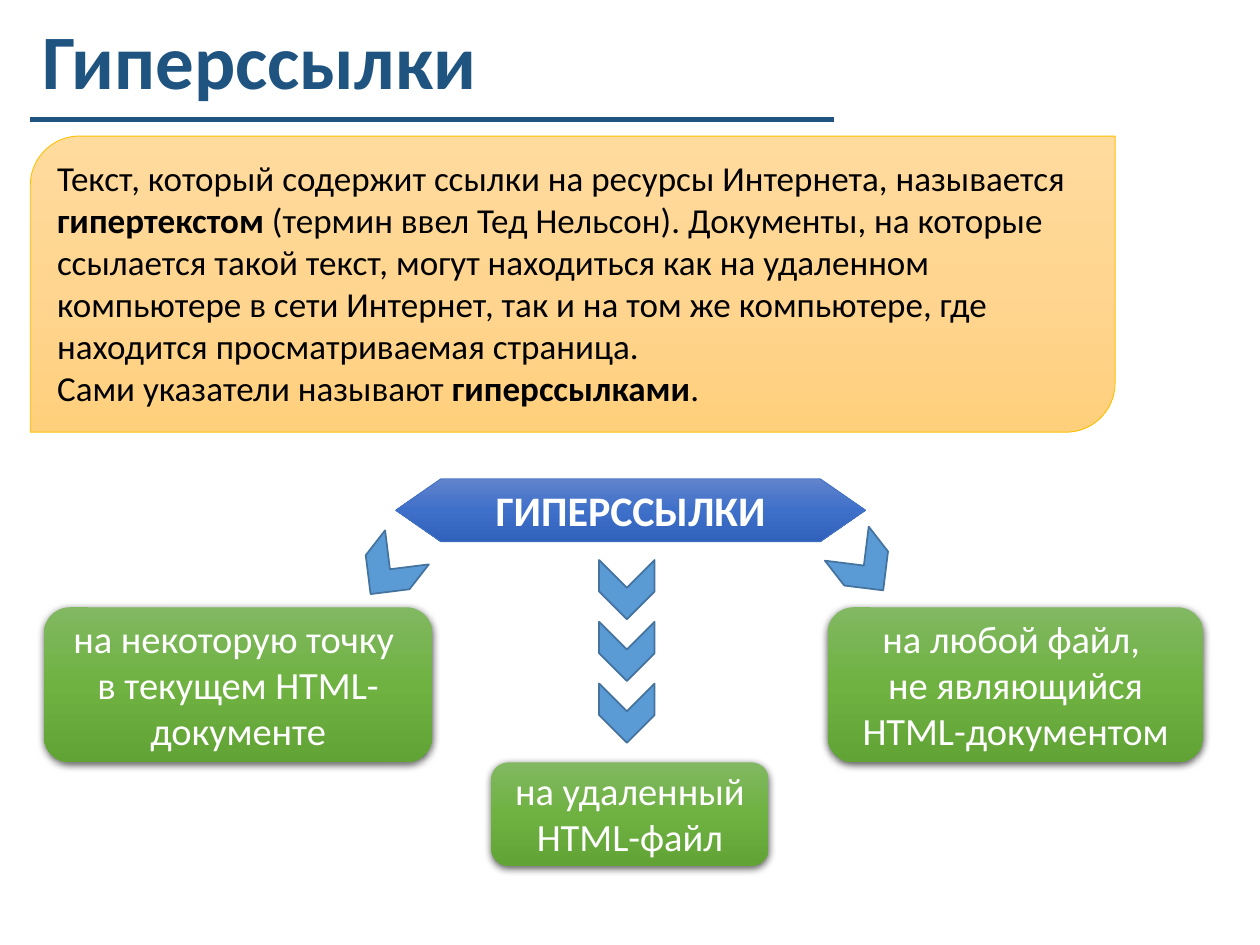
from lxml import etree
from pptx import Presentation
from pptx.dml.color import RGBColor
from pptx.enum.shapes import MSO_CONNECTOR, MSO_SHAPE
from pptx.enum.text import MSO_ANCHOR, MSO_AUTO_SIZE, PP_ALIGN
from pptx.oxml import parse_xml
from pptx.oxml.ns import nsdecls, qn
from pptx.util import Inches, Pt

LEFT, CENTER = PP_ALIGN.LEFT, PP_ALIGN.CENTER
TOP, MIDDLE = MSO_ANCHOR.TOP, MSO_ANCHOR.MIDDLE
FIT_SHAPE, NO_FIT = MSO_AUTO_SIZE.SHAPE_TO_FIT_TEXT, MSO_AUTO_SIZE.NONE
STRAIGHT = MSO_CONNECTOR.STRAIGHT
DIAGONAL_BOX = MSO_SHAPE.ROUND_2_DIAG_RECTANGLE
ROUNDED_BOX = MSO_SHAPE.ROUNDED_RECTANGLE
DOUBLE_ARROW = MSO_SHAPE.LEFT_RIGHT_ARROW
CHEVRON = MSO_SHAPE.CHEVRON

FONT = "Calibri"
NAVY, BLACK, WHITE = "1F5480", "000000", "FFFFFF"
ORANGE_STOPS = ("FFDB9E", "FFD590", "FFD07C")
GREEN_STOPS = ("81B861", "6FB242", "62A336")
BLUE_STOPS = ("6183CB", "3E70CA", "3062BB")

DEFINITION = [
    [
        ("Текст, который содержит ссылки на ресурсы Интернета, называется ", False),
        ("гипертекстом", True),
        (" (термин ввел Тед Нельсон). Документы, на которые ссылается такой текст, "
         "могут находиться как на удаленном компьютере в сети Интернет, так и на том же "
         "компьютере, где находится просматриваемая страница.", False),
    ],
    [("Сами указатели называют ", False), ("гиперссылками", True), (".", False)],
]
TARGETS = [
    ((4.9 - 1, 6.05, 2.2, 0.82), ["на удаленный HTML-файл"]),
    ((6.57, 4.82, 2.98, 1.23), ["на любой файл, ", "не являющийся HTML-документом"]),
    ((0.35, 4.82, 3.08, 1.23), ["на некоторую точку ", "в текущем HTML-документе"]),
]
SIDE_CHEVRONS = [((2.85, 4.31), 127.9), ((6.63, 4.28), 52.1)]


def color(value):
    """Return the colour of a hex string."""
    return RGBColor.from_string(value)


def write_text(shape, paragraphs, size, text_color, align=LEFT, anchor=TOP,
               margins=(0.1, 0.05), line_spacing=None, auto_size=FIT_SHAPE):
    """Fill a shape with paragraphs, each a list of (text, bold) runs."""
    frame = shape.text_frame
    frame.word_wrap = True
    frame.auto_size = auto_size
    frame.vertical_anchor = anchor
    frame.margin_left = frame.margin_right = Inches(margins[0])
    frame.margin_top = frame.margin_bottom = Inches(margins[1])
    for index, runs in enumerate(paragraphs):
        paragraph = frame.add_paragraph() if index else frame.paragraphs[0]
        paragraph.alignment = align
        if line_spacing:
            paragraph.line_spacing = line_spacing
        for text, bold in runs:
            run = paragraph.add_run()
            run.text = text
            run.font.name = FONT
            run.font.size = Pt(size)
            run.font.bold = bold
            run.font.color.rgb = color(text_color)


def add_shape(slide, kind, box, fill, line=None, line_width=0.5):
    """Add a preset shape with a solid fill or a vertical gradient of stops."""
    shape = slide.shapes.add_shape(kind, *map(Inches, box))
    shape.shadow.inherit = False
    if isinstance(fill, str):
        shape.fill.solid()
        shape.fill.fore_color.rgb = color(fill)
    else:
        set_gradient(shape, fill)
    if line:
        shape.line.color.rgb = color(line)
        shape.line.width = Pt(line_width)
    else:
        shape.line.fill.background()
    return shape


def set_gradient(shape, stops):
    """Fill a shape from top to bottom with evenly spaced colour stops."""
    step = 100000 // (len(stops) - 1)
    stop_xml = "".join(
        f'<a:gs pos="{index * step}"><a:srgbClr val="{stop}"/></a:gs>'
        for index, stop in enumerate(stops))
    shape.fill.solid()
    properties = shape._element.spPr
    properties.replace(properties.find(qn("a:solidFill")), parse_xml(
        f'<a:gradFill {nsdecls("a")} rotWithShape="1"><a:gsLst>{stop_xml}</a:gsLst>'
        '<a:lin ang="5400000" scaled="0"/></a:gradFill>'))


def add_drop_shadow(shape):
    """Put a soft black shadow below a shape."""
    effects = shape._element.spPr.find(qn("a:effectLst"))
    effects.append(parse_xml(
        f'<a:outerShdw {nsdecls("a")} blurRad="{Pt(4.5)}" dist="{Pt(1.5)}" dir="5400000" '
        f'algn="ctr" rotWithShape="0"><a:srgbClr val="{BLACK}">'
        '<a:alpha val="63000"/></a:srgbClr></a:outerShdw>'))


def add_title(slide, box):
    """Place the title and the rule below it."""
    title = slide.shapes.title
    left, top, width, height = map(Inches, box)
    title.left, title.top, title.width, title.height = left, top, width, height
    write_text(title, [[("Гиперссылки", True)]], 44, NAVY, anchor=MIDDLE,
               line_spacing=0.9, auto_size=NO_FIT)
    rule_y = top + Inches(0.95)
    rule = slide.shapes.add_connector(STRAIGHT, left, rule_y, left + Inches(6.38), rule_y)
    rule.line.color.rgb = color(NAVY)
    rule.line.width = Pt(3)
    etree.SubElement(rule._element.spPr, qn("a:effectLst"))


def add_definition(slide, box):
    """Place the definition panel."""
    panel = add_shape(slide, DIAGONAL_BOX, box, ORANGE_STOPS, "FFC000")
    write_text(panel, DEFINITION, 20, BLACK)


def add_target(slide, box, lines):
    """Place one green box naming what a link can point to."""
    target = add_shape(slide, ROUNDED_BOX, box, GREEN_STOPS)
    add_drop_shadow(target)
    write_text(target, [[(line, False)] for line in lines], 22, WHITE,
               align=CENTER, margins=(0, 0))


def add_heading(slide, box):
    """Place the double arrow that heads the diagram."""
    heading = add_shape(slide, DOUBLE_ARROW, box, BLUE_STOPS, "4472C4")
    heading.adjustments[0] = 1
    heading.adjustments[1] = 0.72
    write_text(heading, [[("ГИПЕРССЫЛКИ", True)]], 24, WHITE, align=CENTER)


def add_chevron(slide, position, angle):
    """Place one chevron turned by an angle in degrees."""
    chevron = add_shape(slide, CHEVRON, (*position, 0.47, 0.44), "5B9BD5", "43739E", 1)
    chevron.rotation = angle


def add_diagram(slide):
    """Place the heading, its targets and the chevrons between them."""
    for box, lines in TARGETS:
        add_target(slide, box, lines)
    add_heading(slide, (3.14, 3.8, 3.73, 0.5))
    middle_chevrons = [((4.74, 4.46 + 0.49 * index), 90) for index in range(3)]
    for position, angle in SIDE_CHEVRONS + middle_chevrons:
        add_chevron(slide, position, angle)


def main():
    """Build the slide and save it."""
    presentation = Presentation()
    presentation.slide_width = Inches(10)
    presentation.slide_height = Inches(7.5)
    slide = presentation.slides.add_slide(presentation.slide_layouts[5])
    add_title(slide, (0.24, 0, 7.54, 1.03))
    add_definition(slide, (0.24, 1.08, 8.61, 2.35))
    add_diagram(slide)
    presentation.save("out.pptx")


if __name__ == "__main__":
    main()
